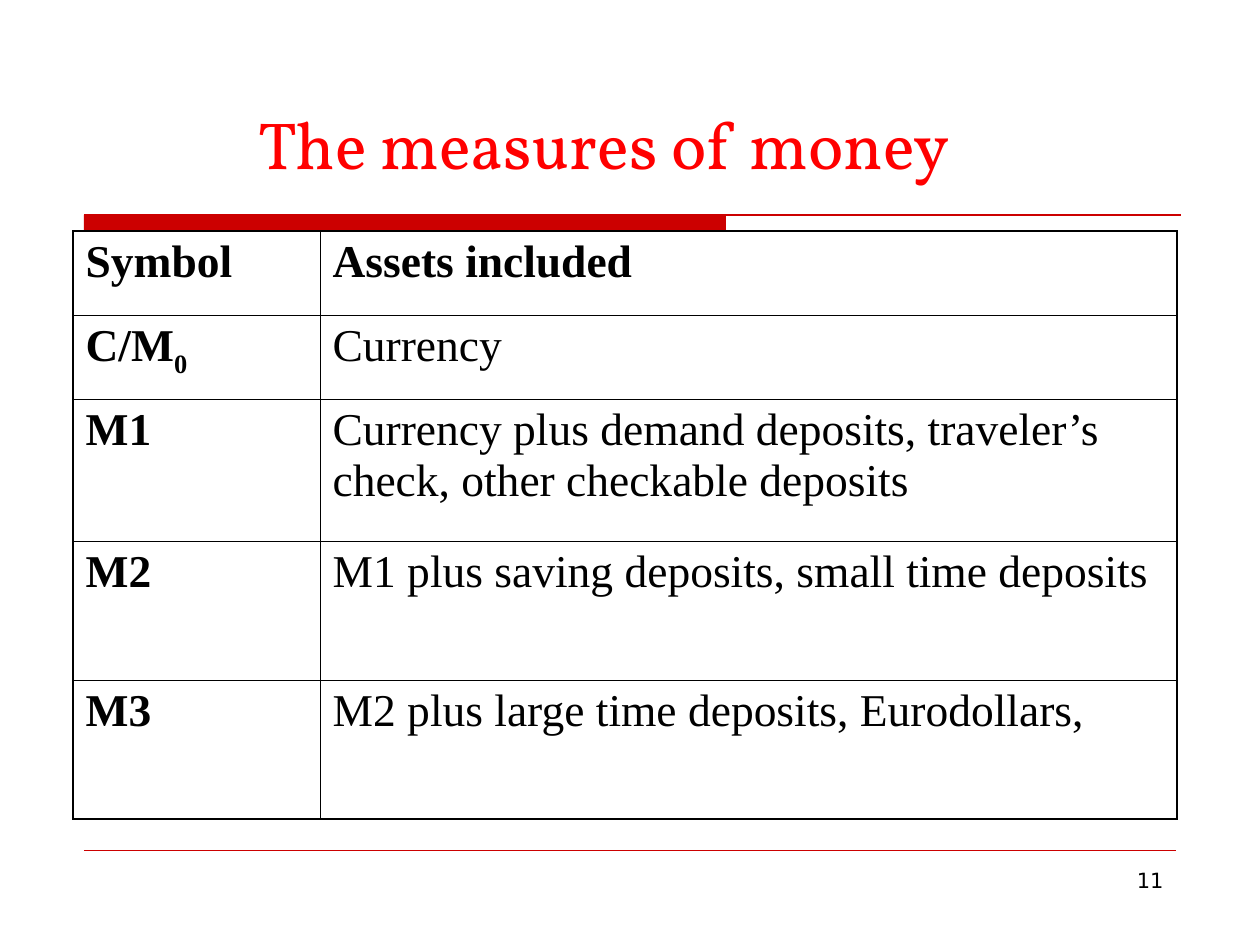
from typing import Any, NamedTuple

from lxml import etree
from pptx import Presentation
from pptx.dml.color import RGBColor
from pptx.enum.shapes import MSO_CONNECTOR, MSO_SHAPE
from pptx.enum.text import MSO_ANCHOR, PP_ALIGN
from pptx.oxml.ns import qn
from pptx.util import Pt

SCALE = 914400 / 126
STRAIGHT = MSO_CONNECTOR.STRAIGHT
RECT = MSO_SHAPE.RECTANGLE
BOTTOM = MSO_ANCHOR.BOTTOM
CENTER, RIGHT = PP_ALIGN.CENTER, PP_ALIGN.RIGHT
HUES = {"title": "FF0000", "rule": "CC0000", "ink": "000000", "paper": "FFFFFF"}
THICK, THIN = 1.08, 0.45


class Rule(NamedTuple):
    left: int
    right: int
    y: int
    width: float


class Row(NamedTuple):
    symbol: str
    sub: str
    assets: str
    height: int


RULES = [Rule(84, 1181, 215, 0.75), Rule(84, 1176, 850, 0.25)]
COLS = [247, 857]
ROWS = [
    Row("Symbol", "", "Assets included", 84),
    Row("C/M", "0", "Currency", 84),
    Row("M1", "", "Currency plus demand deposits, traveler’s check, "
        "other checkable deposits", 142),
    Row("M2", "", "M1 plus saving deposits, small time deposits", 139),
    Row("M3", "", "M2 plus large time deposits, Eurodollars,", 139),
]
TITLE = {"name": "Vollkorn", "size": Pt(38), "bold": False}
CELL = {"name": "Times New Roman", "size": Pt(26)}
NUMBER = {"name": "DejaVu Sans", "size": Pt(12)}


def px(count: int) -> int:
    return round(count * SCALE)


def hue(name: str) -> RGBColor:
    return RGBColor.from_string(HUES[name])


def add_run(para: Any, text: str, form: dict[str, Any], ink: str = "ink") -> Any:
    run = para.add_run()
    run.text = text
    for key, value in form.items():
        setattr(run.font, key, value)
    run.font.color.rgb = hue(ink)
    return run


def draw_rule(slide: Any, rule: Rule) -> None:
    y = px(rule.y)
    line = slide.shapes.add_connector(STRAIGHT, px(rule.left), y, px(rule.right), y)
    line.line.color.rgb = hue("rule")
    line.line.width = Pt(rule.width)
    etree.SubElement(line._element.spPr, qn("a:effectLst"))


def draw_bar(slide: Any) -> None:
    bar = slide.shapes.add_shape(RECT, px(84), px(215), px(642), px(16))
    bar.shadow.inherit = False
    bar.fill.solid()
    bar.fill.fore_color.rgb = hue("rule")
    bar.line.fill.background()


def set_title(slide: Any) -> None:
    title = slide.shapes.title
    title.left, title.top, title.width, title.height = map(px, (53, 21, 1103, 168))
    title.text_frame.vertical_anchor = BOTTOM
    para = title.text_frame.paragraphs[0]
    para.alignment = CENTER
    add_run(para, "The measures of money", TITLE, "title")


def draw_number(slide: Any) -> None:
    box = slide.shapes.add_textbox(*map(px, (903, 861, 273, 66)))
    box.text_frame.word_wrap = True
    para = box.text_frame.paragraphs[0]
    para.alignment = RIGHT
    add_run(para, "11", NUMBER)


def set_edges(cell: Any, edges: dict[str, bool]) -> None:
    """Line each side of a cell, thick where it lies on the table's rim."""
    props = cell._tc.get_or_add_tcPr()
    for i, (side, rim) in enumerate(edges.items()):
        line = etree.Element(qn(f"a:ln{side}"), w=str(Pt(THICK if rim else THIN)))
        fill = etree.SubElement(line, qn("a:solidFill"))
        etree.SubElement(fill, qn("a:srgbClr"), val=HUES["ink"])
        props.insert(i, line)


def fill_cell(cell: Any, text: str, sub: str, bold: bool) -> None:
    cell.fill.solid()
    cell.fill.fore_color.rgb = hue("paper")
    para = cell.text_frame.paragraphs[0]
    para.space_before = Pt(6.5)
    form = CELL | {"bold": bold}
    add_run(para, text, form)
    if sub:
        run = add_run(para, sub, form)
        run.font._element.set("baseline", "-25000")


def draw_table(slide: Any) -> None:
    high = sum(row.height for row in ROWS)
    frame = slide.shapes.add_table(
        len(ROWS), len(COLS), px(73), px(231), px(sum(COLS)), px(high))
    table = frame.table
    for c, width in enumerate(COLS):
        table.columns[c].width = px(width)
    for r, row in enumerate(ROWS):
        table.rows[r].height = px(row.height)
        for c, (text, sub) in enumerate([(row.symbol, row.sub), (row.assets, "")]):
            cell = table.cell(r, c)
            fill_cell(cell, text, sub, r == 0 or c == 0)
            set_edges(cell, {"L": c == 0, "R": c == len(COLS) - 1,
                             "T": r == 0, "B": r == len(ROWS) - 1})


def main() -> None:
    deck = Presentation()
    deck.slide_width, deck.slide_height = px(1260), px(945)
    slide = deck.slides.add_slide(deck.slide_layouts[5])
    draw_bar(slide)
    for rule in RULES:
        draw_rule(slide, rule)
    draw_number(slide)
    set_title(slide)
    draw_table(slide)
    deck.save("out.pptx")


if __name__ == "__main__":
    main()
